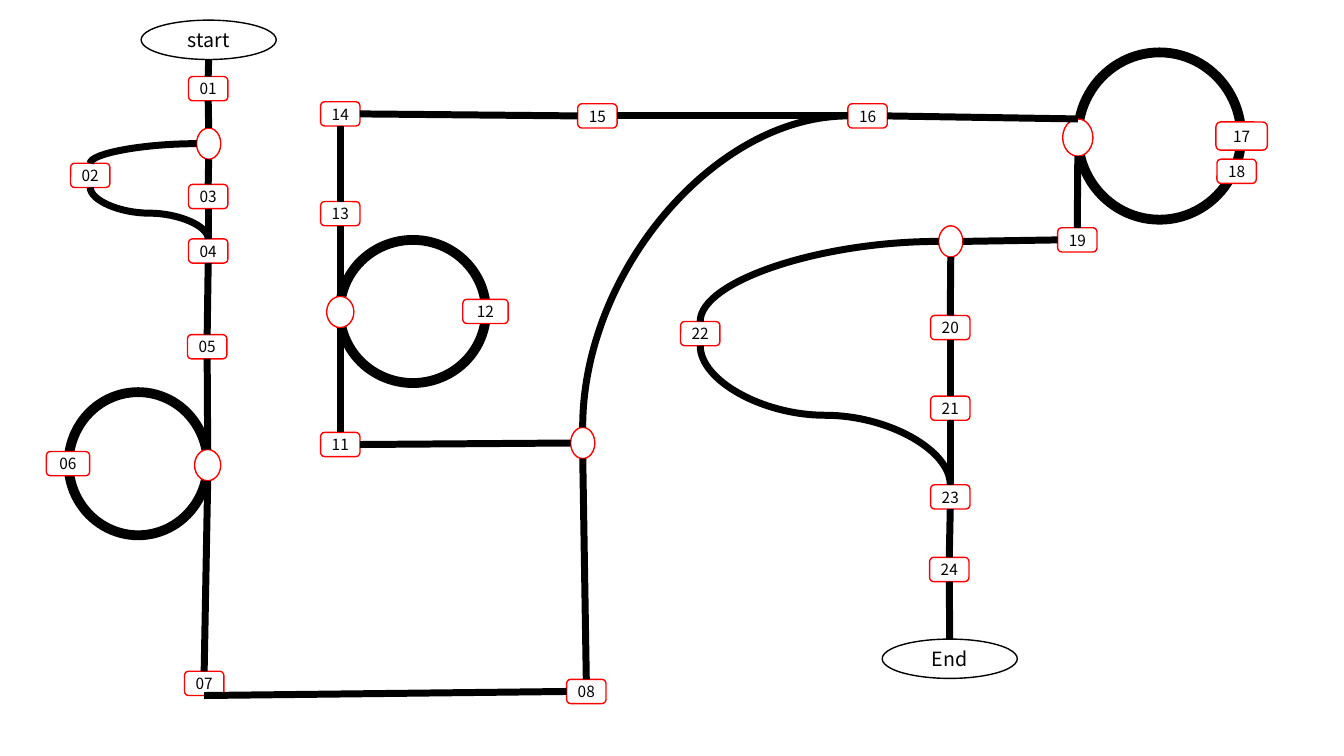
import dataclasses

import lxml.etree
import pptx
import pptx.dml.color
import pptx.enum.shapes
import pptx.enum.text
import pptx.oxml.ns
import pptx.util

Inches = pptx.util.Inches
Pt = pptx.util.Pt
Kind = pptx.enum.shapes.MSO_SHAPE
Link = pptx.enum.shapes.MSO_CONNECTOR
qn = pptx.oxml.ns.qn
TOP, LEFT, BASE, RIGHT = range(4)


@dataclasses.dataclass
class Theme:
    font: str = "Noto Sans CJK KR"
    ink: str = "000000"
    paper: str = "FFFFFF"
    mark: str = "FF0000"
    small: float = 11
    large: float = 14
    thin: float = 1
    road: float = 5
    ring: float = 7


def color(code):
    return pptx.dml.color.RGBColor.from_string(code)


def write(shape, text, font, size, ink):
    frame = shape.text_frame
    frame.margin_left = frame.margin_right = 0
    frame.margin_top = frame.margin_bottom = 0
    frame.vertical_anchor = pptx.enum.text.MSO_ANCHOR.MIDDLE
    para = frame.paragraphs[0]
    para.alignment = pptx.enum.text.PP_ALIGN.CENTER
    run = para.add_run()
    run.text = text
    run.font.name = font
    run.font.size = Pt(size)
    run.font.color.rgb = color(ink)


def spot(shape, side):
    """Return the middle of one side of a shape."""
    x, y = shape.left + shape.width // 2, shape.top + shape.height // 2
    return {
        TOP: (x, shape.top),
        LEFT: (shape.left, y),
        BASE: (x, shape.top + shape.height),
        RIGHT: (shape.left + shape.width, y),
    }[side]


class Course:
    def __init__(self, slide, theme):
        self.slide = slide
        self.theme = theme

    def shape(self, kind, x, y, w, h, edge, width, fill=True):
        item = self.slide.shapes.add_shape(
            kind, Inches(x), Inches(y), Inches(w), Inches(h))
        item.shadow.inherit = False
        if fill:
            item.fill.solid()
            item.fill.fore_color.rgb = color(self.theme.paper)
        else:
            item.fill.background()
        item.line.color.rgb = color(edge)
        item.line.width = Pt(width)
        return item

    def stop(self, text, x, y, w=0.39, h=0.24):
        look = self.theme
        item = self.shape(Kind.ROUNDED_RECTANGLE, x, y, w, h, look.mark, look.thin)
        write(item, text, font=look.font, size=look.small, ink=look.ink)
        return item

    def node(self, x, y, w=0.24, h=0.31):
        return self.shape(Kind.OVAL, x, y, w, h, self.theme.mark, self.theme.thin)

    def ring(self, x, y, w, h):
        return self.shape(Kind.OVAL, x, y, w, h, self.theme.ink, self.theme.ring, fill=False)

    def gate(self, text, x, y):
        look = self.theme
        item = self.shape(Kind.OVAL, x, y, 1.34, 0.39, look.ink, look.thin)
        write(item, text, font=look.font, size=look.large, ink=look.ink)
        return item

    def link(self, kind, start, end):
        item = self.slide.shapes.add_connector(kind, *start, *end)
        item.line.color.rgb = color(self.theme.ink)
        item.line.width = Pt(self.theme.road)
        lxml.etree.SubElement(item._element.spPr, qn("a:effectLst"))
        return item

    def road(self, first, out, last, into):
        item = self.link(Link.STRAIGHT, spot(first, out), spot(last, into))
        if first.auto_shape_type == Kind.ROUNDED_RECTANGLE:
            item.begin_connect(first, out)
        if last.auto_shape_type == Kind.ROUNDED_RECTANGLE:
            item.end_connect(last, into)

    def bend(self, first, out, last, into):
        """Draw a quarter curve that leaves sideways and arrives upright."""
        item = self.link(Link.CURVE, spot(first, out), spot(last, into))
        item._element.spPr.find(qn("a:prstGeom")).set("prst", "curvedConnector2")

    def wave(self, low, high):
        """Draw an S curve from the top of one stop up to the base of another."""
        (x1, y1), (x2, y2) = spot(low, TOP), spot(high, BASE)
        x, y = (x1 + x2) // 2, (y1 + y2) // 2
        wide, tall = (x1 - x2) // 2, (y1 - y2) // 2
        item = self.link(Link.CURVE, (x - tall, y + wide), (x + tall, y - wide))
        item._element.spPr.find(qn("a:xfrm")).set("rot", str(270 * 60000))


STOPS = {
    "01": (1.87, 0.76), "02": (0.7, 1.62), "03": (1.87, 1.83),
    "04": (1.87, 2.37), "05": (1.86, 3.32), "06": (0.46, 4.48, 0.43),
    "07": (1.83, 6.66), "08": (5.62, 6.74), "11": (3.18, 4.29),
    "12": (4.59, 2.97, 0.45), "13": (3.18, 2), "14": (3.18, 1.01),
    "15": (5.73, 1.03), "16": (8.41, 1.03), "17": (12.06, 1.21, 0.51, 0.28),
    "18": (12.07, 1.58), "19": (10.49, 2.26), "20": (9.23, 3.13),
    "21": (9.23, 3.93), "22": (6.75, 3.19), "23": (9.23, 4.81),
    "24": (9.22, 5.53),
}
NODES = {
    "fork 02": (1.95, 1.27), "loop 06": (1.93, 4.46, 0.26),
    "loop 12": (3.24, 2.94, 0.27), "fork 11": (5.66, 4.24),
    "loop 17": (10.54, 1.18, 0.3, 0.37), "fork 22": (9.31, 2.24),
}
RINGS = [(0.68, 3.89, 1.38, 1.42), (3.37, 2.38, 1.45, 1.42), (10.69, 0.52, 1.62, 1.66)]
GATES = {"start": (1.4, 0.2), "End": (8.75, 6.34)}
DOWN = [
    ("start", "01", "fork 02", "03", "04", "05", "loop 06", "07"),
    ("14", "13", "loop 12", "11"),
    ("fork 11", "08"),
    ("loop 17", "19"),
    ("fork 22", "20", "21", "23", "24", "End"),
]
ACROSS = [("14", "15", "16"), ("11", "fork 11"), ("fork 22", "19")]


def main():
    deck = pptx.Presentation()
    deck.slide_width, deck.slide_height = Inches(13.33), Inches(7.5)
    course = Course(deck.slides.add_slide(deck.slide_layouts[6]), Theme())

    for place in RINGS:
        course.ring(*place)
    marks = {name: course.node(*place) for name, place in NODES.items()}
    marks |= {name: course.stop(name, *place) for name, place in STOPS.items()}
    marks |= {name: course.gate(name, *place) for name, place in GATES.items()}

    for paths, out, into in ((DOWN, BASE, TOP), (ACROSS, RIGHT, LEFT)):
        for path in paths:
            for first, last in zip(path, path[1:]):
                course.road(marks[first], out, marks[last], into)
    course.road(marks["07"], BASE, marks["08"], LEFT)
    course.road(marks["16"], RIGHT, marks["loop 17"], TOP)

    for first, last in (("fork 02", "02"), ("16", "fork 11"), ("fork 22", "22")):
        course.bend(marks[first], LEFT, marks[last], TOP)
    for low, high in (("04", "02"), ("23", "22")):
        course.wave(marks[low], marks[high])
    deck.save("out.pptx")


if __name__ == "__main__":
    main()
